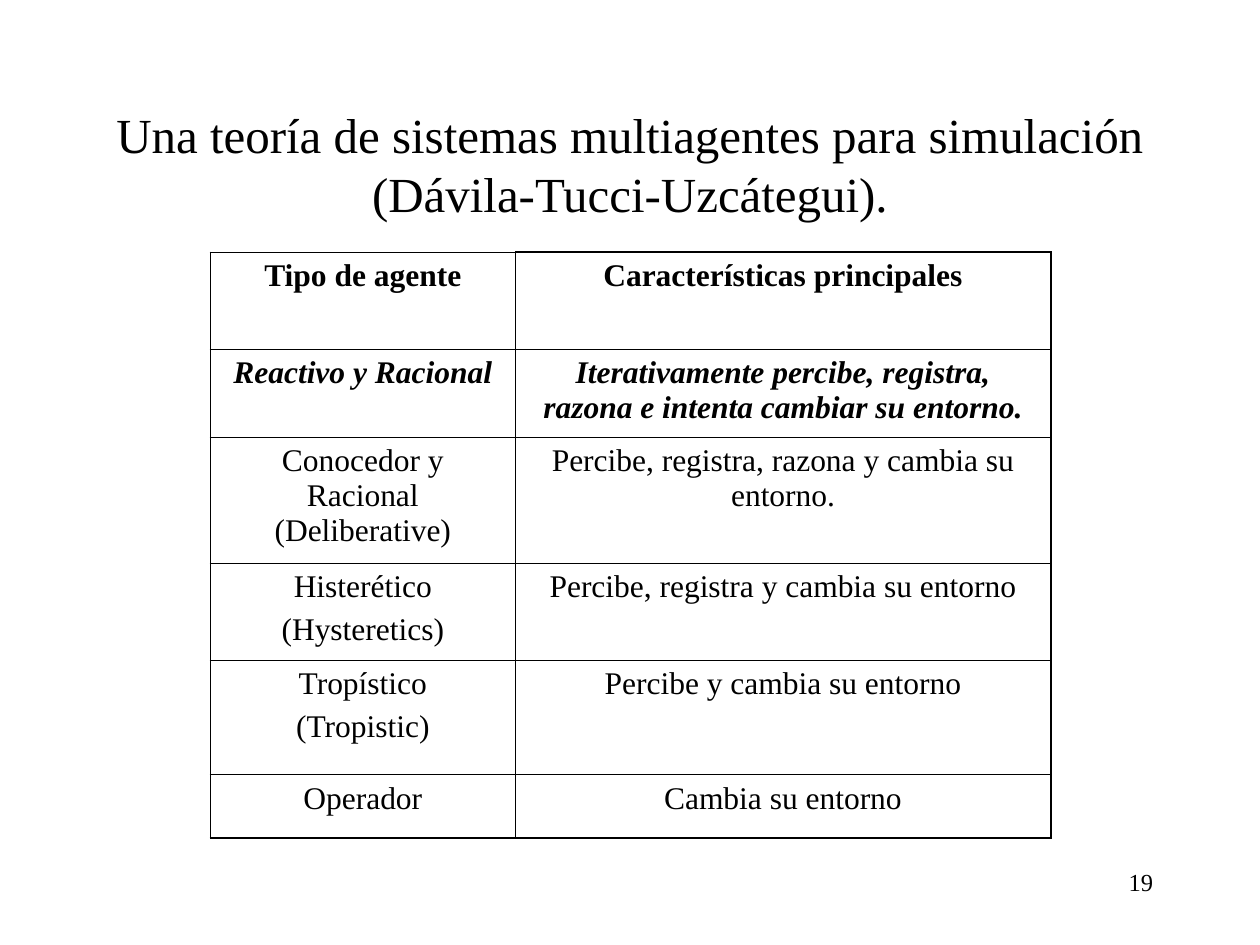
"""Build the slide that classifies agents in a multi-agent simulation theory."""
from dataclasses import dataclass

import lxml.etree
import pptx
import pptx.dml.color
import pptx.enum.text
import pptx.oxml.ns
import pptx.util

Inches = pptx.util.Inches
Pt = pptx.util.Pt
PP_ALIGN = pptx.enum.text.PP_ALIGN
ANCHOR = pptx.enum.text.MSO_ANCHOR

COLORS = {"ink": "000000", "paper": "FFFFFF"}
FONT = "Times New Roman"
THIN, THICK = 0.45, 1.08
COLUMN_WIDTHS = (2.42, 4.25)


@dataclass(frozen=True)
class AgentRow:
    agent: str
    traits: str
    height: float
    bold: bool = False
    italic: bool = False


AGENT_ROWS = (
    AgentRow("Tipo de agente", "Características principales", 0.77, bold=True),
    AgentRow("Reactivo y Racional",
             "Iterativamente percibe, registra, razona e intenta cambiar su entorno.",
             0.7, bold=True, italic=True),
    AgentRow("Conocedor y Racional (Deliberative)",
             "Percibe, registra, razona y cambia su entorno.", 1),
    AgentRow("Histerético\n(Hysteretics)", "Percibe, registra y cambia su entorno", 0.77),
    AgentRow("Tropístico\n(Tropistic)", "Percibe y cambia su entorno", 0.91),
    AgentRow("Operador", "Cambia su entorno", 0.5),
)


def write_text(frame, text: str, size: float, align, before: float = 0,
               bold: bool = False, italic: bool = False) -> None:
    """Fill a text frame with uniformly formatted paragraphs."""
    frame.text = text
    font_format = {"name": FONT, "size": Pt(size), "bold": bold, "italic": italic}
    for paragraph in frame.paragraphs:
        paragraph.alignment = align
        paragraph.space_before = Pt(before)
        for run in paragraph.runs:
            for attribute, value in font_format.items():
                setattr(run.font, attribute, value)
            run.font.color.rgb = pptx.dml.color.RGBColor.from_string(COLORS["ink"])


def set_borders(cell, widths: dict[str, float]) -> None:
    """Draw the four solid edges of a table cell."""
    properties = cell._tc.get_or_add_tcPr()
    for edge, width in widths.items():
        line = lxml.etree.SubElement(
            properties, pptx.oxml.ns.qn(f"a:ln{edge}"), w=str(int(Pt(width))))
        solid = lxml.etree.SubElement(line, pptx.oxml.ns.qn("a:solidFill"))
        lxml.etree.SubElement(solid, pptx.oxml.ns.qn("a:srgbClr"), val=COLORS["ink"])


def add_title(slide, text: str) -> None:
    """Place and format the title placeholder."""
    title = slide.shapes.title
    placement = {"left": 0.75, "top": 0.67, "width": 8.5, "height": 1.25}
    for attribute, value in placement.items():
        setattr(title, attribute, Inches(value))
    frame_format = {"auto_size": pptx.enum.text.MSO_AUTO_SIZE.NONE,
                    "vertical_anchor": ANCHOR.MIDDLE, "word_wrap": True}
    for attribute, value in frame_format.items():
        setattr(title.text_frame, attribute, value)
    write_text(title.text_frame, text, 28, PP_ALIGN.CENTER)


def add_agent_table(slide, rows: tuple[AgentRow, ...]) -> None:
    """Draw the table of agent types with a heavier outer frame."""
    table = slide.shapes.add_table(
        len(rows), len(COLUMN_WIDTHS), Inches(1.67), Inches(2),
        Inches(sum(COLUMN_WIDTHS)), Inches(sum(row.height for row in rows))).table
    for flag in ("first_row", "horz_banding"):
        setattr(table, flag, False)
    for column, width in zip(table.columns, COLUMN_WIDTHS):
        column.width = Inches(width)
    last_row = len(rows) - 1
    for r, row in enumerate(rows):
        table.rows[r].height = Inches(row.height)
        for c, text in enumerate((row.agent, row.traits)):
            cell = table.cell(r, c)
            set_borders(cell, {
                "L": THICK if c == 0 else THIN,
                "R": THICK if c == 1 else THIN,
                "T": THICK if (r, c) == (0, 1) else THIN,
                "B": THICK if r == last_row else THIN,
            })
            cell.fill.background()
            write_text(cell.text_frame, text, 18, PP_ALIGN.CENTER, 4.5,
                       row.bold, row.italic)


def add_page_number(slide, number: str) -> None:
    """Write the page number at the lower right."""
    page_number = slide.shapes.add_textbox(
        Inches(6.75), Inches(6.83), Inches(2.5), Inches(0.5))
    page_number.text_frame.word_wrap = True
    write_text(page_number.text_frame, number, 14, PP_ALIGN.RIGHT)


def main() -> None:
    """Assemble and save the presentation."""
    presentation = pptx.Presentation()
    presentation.slide_width = Inches(10)
    presentation.slide_height = Inches(7.5)
    slide = presentation.slides.add_slide(presentation.slide_layouts[5])
    background = slide.background.fill
    background.solid()
    background.fore_color.rgb = pptx.dml.color.RGBColor.from_string(COLORS["paper"])
    add_title(slide, "Una teoría de sistemas multiagentes para simulación "
                     "(Dávila-Tucci-Uzcátegui).")
    add_agent_table(slide, AGENT_ROWS)
    add_page_number(slide, "19")
    presentation.save("out.pptx")


if __name__ == "__main__":
    main()
